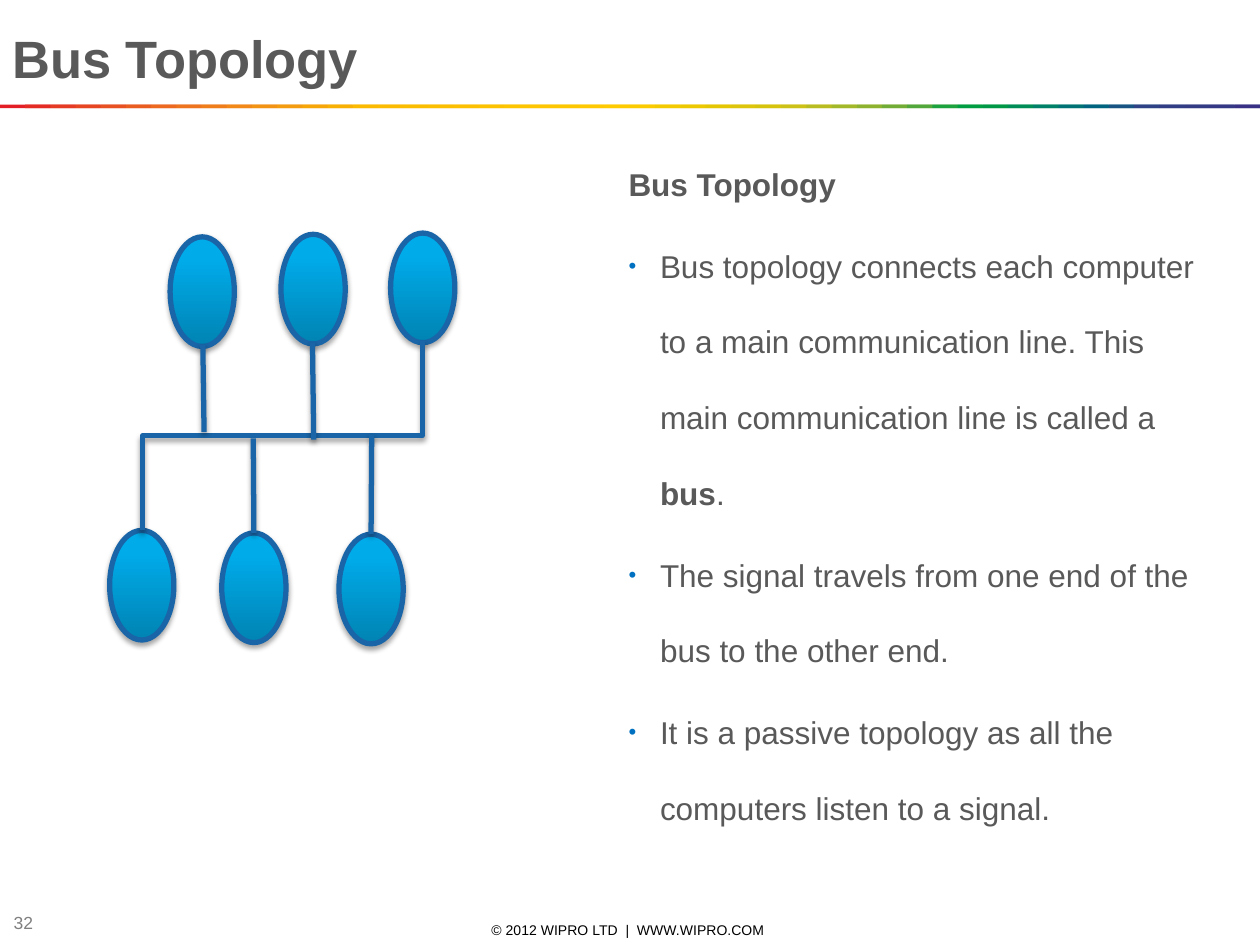
"""Build the Bus Topology slide with its network diagram and bullets."""
import pptx
import pptx.dml.color
import pptx.enum.shapes
import pptx.enum.text
import pptx.oxml
import pptx.oxml.ns
import pptx.util

Inches = pptx.util.Inches
Pt = pptx.util.Pt
RGB = pptx.dml.color.RGBColor.from_string
SHAPE = pptx.enum.shapes.MSO_SHAPE
CXN = pptx.enum.shapes.MSO_CONNECTOR
ALIGN = pptx.enum.text.PP_ALIGN
ANCHOR = pptx.enum.text.MSO_ANCHOR
NS = pptx.oxml.ns.nsdecls("a")

COLORS = {
    "text": "595959",
    "footer": "000000",
    "number": "808080",
    "bullet": "0070C0",
    "line": "1965A7",
    "dark": "0083B3",
    "mid": "00ABE9",
    "light": "00ABEA",
    "shadow": "000000",
}
RAINBOW = dict(enumerate(
    """E31E24 E42C24 E53A24 E74623 E85122 EA5D21 EC691F EE741D EF7E1A F18817
    F39314 F49C0F F6A607 F8B002 FBBA00 FBBB00 FBBD00 FCBF00 FCC000 FCC200
    FDC400 FDC600 FDC700 FEC900 FECB00 FBCB00 F3CA00 ECC800 E4C602 DCC50A
    D5C30E CCC117 B8BC21 A3B829 8CB230 71AD36 51A73B 1DA240 009D43 009846
    008C57 008068 007275 00637F 185384 2E4285 313E85 333B85 353885 393185""".split()))

prs = pptx.Presentation()
prs.slide_width, prs.slide_height = Inches(10), Inches(7.5)
s = prs.slides.add_slide(prs.slide_layouts[6])


def add_text(paragraphs, x, y, w, h, size, color="text", bold=False,
             align=ALIGN.LEFT, anchor=ANCHOR.MIDDLE, spacing=None, before=0):
    """Add a box of paragraphs, each a (bulleted, [(text, bold), ...]) pair or a string."""
    tf = s.shapes.add_textbox(Inches(x), Inches(y), Inches(w), Inches(h)).text_frame
    tf.word_wrap = True
    tf.vertical_anchor = anchor
    for i, item in enumerate(paragraphs):
        bulleted, runs = (False, [(item, bold)]) if isinstance(item, str) else item
        p = tf.paragraphs[0] if i == 0 else tf.add_paragraph()
        p.alignment = align
        if spacing:
            p.line_spacing = spacing
        if i:
            p.space_before = Pt(before)
        if bulleted:
            pPr = p._p.get_or_add_pPr()
            pPr.set("marL", str(Inches(0.25)))
            pPr.set("indent", str(-Inches(0.25)))
            for xml in (f'<a:buClr {NS}><a:srgbClr val="{COLORS["bullet"]}"/></a:buClr>',
                        f'<a:buSzPct {NS} val="70000"/>',
                        f'<a:buFont {NS} typeface="Arial"/>',
                        f'<a:buChar {NS} char="•"/>'):
                pPr.append(pptx.oxml.parse_xml(xml))
        for text, run_bold in runs:
            r = p.add_run()
            r.text = text
            r.font.name, r.font.size, r.font.bold = "Arial", Pt(size), run_bold
            r.font.color.rgb = RGB(COLORS[color])


def outline(sp, distance, alpha):
    """Give a shape the blue line and the soft shadow below it."""
    sp.line.color.rgb = RGB(COLORS["line"])
    sp.line.width = Pt(3)
    sp.element.spPr.append(pptx.oxml.parse_xml(
        f'<a:effectLst {NS}><a:outerShdw blurRad="{Pt(3.1)}" dist="{Pt(distance)}" '
        f'dir="5400000" rotWithShape="0"><a:srgbClr val="{COLORS["shadow"]}">'
        f'<a:alpha val="{alpha}000"/></a:srgbClr></a:outerShdw></a:effectLst>'))


add_text(["© 2012 WIPRO LTD  |  WWW.WIPRO.COM"], 3.4, 7.3, 3.17, 0.16, 8,
         color="footer", align=ALIGN.CENTER)
add_text(["32"], 0.01, 7.22, 0.75, 0.21, 10, color="number")

for i, color in RAINBOW.items():
    x = 0.2 * i
    sp = s.shapes.add_shape(SHAPE.RECTANGLE, Inches(x), Inches(0.83),
                            Inches(min(0.4, 10 - x)), Inches(0.03))
    sp.shadow.inherit = False
    sp.fill.solid()
    sp.fill.fore_color.rgb = RGB(color)
    sp.line.fill.background()

add_text([
    "Bus Topology",
    (True, [("Bus topology connects each computer to a main communication line. "
             "This main communication line is called a ", False),
            ("bus", True), (".", False)]),
    (True, [("The signal travels from one end of the bus to the other end.", False)]),
    (True, [("It is a passive topology as all the computers listen to a signal.", False)]),
], 4.89, 0.96, 4.74, 6.15, 18, bold=True, anchor=ANCHOR.TOP, spacing=2.0, before=3.6)
add_text(["Bus Topology"], 0, 0.15, 10, 0.61, 30, bold=True)

computers = []
for x, y in [(1.35, 1.88), (2.23, 1.86), (3.1, 1.85), (0.87, 4.21), (1.76, 4.23), (2.69, 4.24)]:
    sp = s.shapes.add_shape(SHAPE.OVAL, Inches(x), Inches(y), Inches(0.51), Inches(0.87))
    sp.element.spPr.append(pptx.oxml.parse_xml(
        f'<a:gradFill {NS} rotWithShape="1"><a:gsLst>'
        f'<a:gs pos="0"><a:srgbClr val="{COLORS["dark"]}"/></a:gs>'
        f'<a:gs pos="80000"><a:srgbClr val="{COLORS["mid"]}"/></a:gs>'
        f'<a:gs pos="100000"><a:srgbClr val="{COLORS["light"]}"/></a:gs>'
        '</a:gsLst><a:lin ang="16200000" scaled="0"/></a:gradFill>'))
    outline(sp, 1.8, 35)
    computers.append(sp)

bus = s.shapes.add_connector(CXN.ELBOW, Inches(2.99), Inches(4.57), Inches(1.49), Inches(2.35))
bus.element.spPr.xfrm.set("rot", "5400000")
outline(bus, 1.6, 38)

for x1, y1, x2, y2, computer in [
    (1.61, 2.74, 1.62, 3.43, None),
    (2.48, 2.72, 2.49, 3.49, None),
    (2.02, 4.23, 2.01, 3.48, computers[4]),
    (2.95, 4.24, 2.95, 3.45, computers[5]),
]:
    link = s.shapes.add_connector(CXN.STRAIGHT, Inches(x1), Inches(y1), Inches(x2), Inches(y2))
    if computer:
        link.begin_connect(computer, 0)
    outline(link, 1.6, 38)

prs.save("out.pptx")
